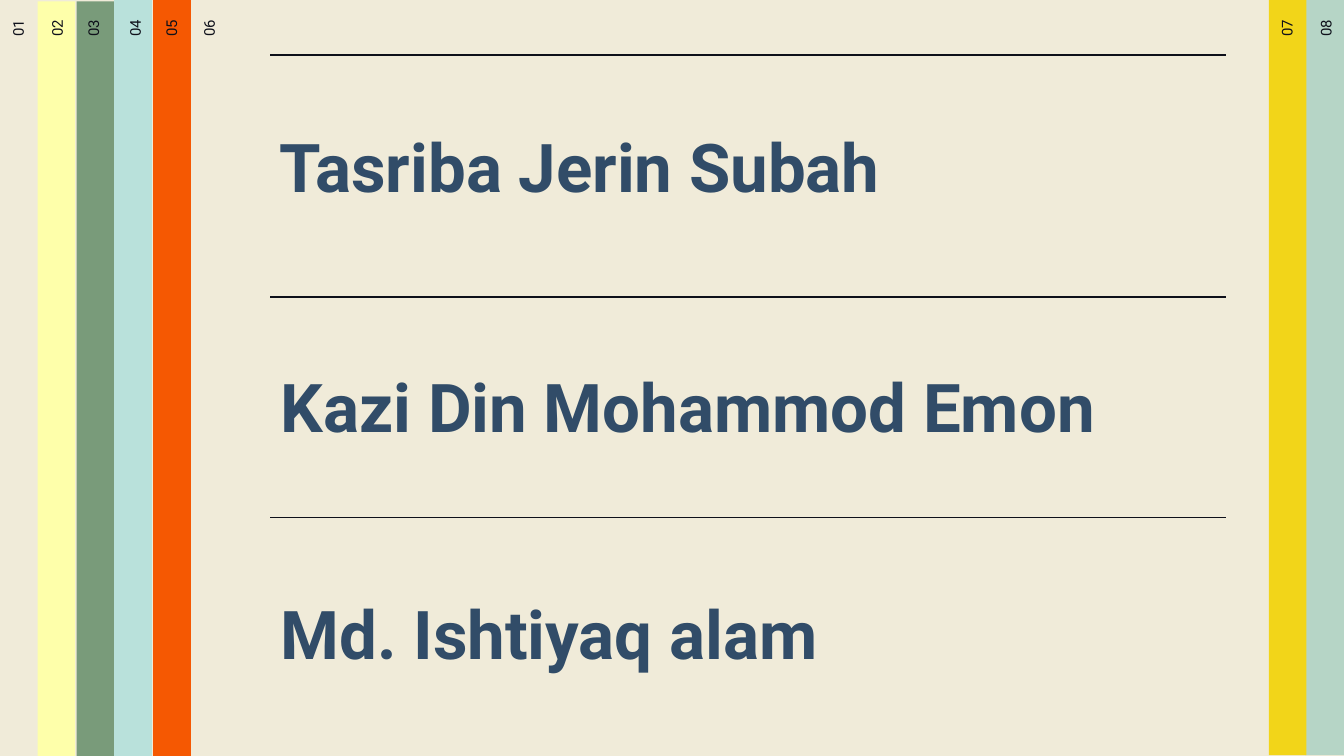
from dataclasses import dataclass

import pptx
import pptx.dml.color
import pptx.enum.shapes
import pptx.enum.text
import pptx.oxml.ns
import pptx.util
from lxml import etree
from pptx.util import Inches

FONT = "Roboto"
INK = "0E101A"
NAVY = "314C68"
CREAM = "F0EBD9"
PAGE_WIDTH = 10
PAGE_HEIGHT = PAGE_WIDTH * 9 / 16
STRIPE_HEIGHT = 5.63
LABEL_TOP = 0.05
LABEL_HEIGHT = 0.28
RULE_LEFT, RULE_RIGHT = 2.01, 9.12
RULE_HEIGHTS = (0.41, 2.21, 3.85)


@dataclass
class Stripe:
    left: float
    top: float
    width: float
    color: str


@dataclass
class TabLabel:
    text: str
    center: float
    length: float = 0.98


@dataclass
class MemberName:
    text: str
    left: float
    top: float
    width: float


STRIPES = [
    Stripe(0.57, 0.01, 0.28, "799B7A"),
    Stripe(0.28, 0.01, 0.28, "FEFFAA"),
    Stripe(0.85, 0, 0.28, "B9E1DB"),
    Stripe(1.14, 0, 0.28, "F55802"),
    Stripe(9.71, -0.01, 0.29, "B6D5C6"),
    Stripe(9.44, -0.01, 0.28, "F2D519"),
]
LABELS = [
    TabLabel("01", 0.14, 0.9),
    TabLabel("02", 0.43, 0.9),
    TabLabel("03", 0.7),
    TabLabel("04", 1.01),
    TabLabel("05", 1.28),
    TabLabel("06", 1.56),
    TabLabel("07", 9.58),
    TabLabel("08", 9.87),
]
NAMES = [
    MemberName("Tasriba Jerin Subah", 1.98, 0.83, 5.68),
    MemberName("Kazi Din Mohammod Emon", 1.99, 2.62, 7.06),
    MemberName("Md. Ishtiyaq alam", 1.99, 4.31, 6.73),
]


def rgb(color: str) -> pptx.dml.color.RGBColor:
    return pptx.dml.color.RGBColor.from_string(color)


def draw_stripe(page, stripe: Stripe) -> None:
    shape = page.shapes.add_shape(
        pptx.enum.shapes.MSO_SHAPE.RECTANGLE,
        Inches(stripe.left), Inches(stripe.top),
        Inches(stripe.width), Inches(STRIPE_HEIGHT))
    shape.shadow.inherit = False
    shape.fill.solid()
    shape.fill.fore_color.rgb = rgb(stripe.color)
    shape.line.fill.background()


def draw_text(page, text: str, left: float, top: float, width: float,
              height: float, size: float, color: str, inset: float):
    box = page.shapes.add_textbox(
        Inches(left), Inches(top), Inches(width), Inches(height))
    frame = box.text_frame
    frame.word_wrap = True
    frame.margin_left = frame.margin_right = Inches(0.1)
    frame.margin_top = frame.margin_bottom = Inches(inset)
    para = frame.paragraphs[0]
    para.text = text
    para.font.name = FONT
    para.font.size = pptx.util.Pt(size)
    para.font.color.rgb = rgb(color)
    return box


def draw_label(page, label: TabLabel) -> None:
    """Draw a number that reads upwards and ends at the common top."""
    middle = LABEL_TOP + label.length / 2
    box = draw_text(page, label.text, label.center - label.length / 2,
                    middle - LABEL_HEIGHT / 2, label.length, LABEL_HEIGHT,
                    8, INK, 0.09)
    box.rotation = 270
    box.text_frame.paragraphs[0].alignment = pptx.enum.text.PP_ALIGN.RIGHT


def draw_name(page, name: MemberName) -> None:
    box = draw_text(page, name.text, name.left, name.top, name.width, 0.81,
                    36, NAVY, 0.1)
    box.text_frame.auto_size = pptx.enum.text.MSO_AUTO_SIZE.SHAPE_TO_FIT_TEXT
    box.text_frame.paragraphs[0].font.bold = True


def draw_rule(page, height: float) -> None:
    rule = page.shapes.add_connector(
        pptx.enum.shapes.MSO_CONNECTOR.STRAIGHT,
        Inches(RULE_LEFT), Inches(height), Inches(RULE_RIGHT), Inches(height))
    rule.line.color.rgb = rgb(INK)
    rule.line.width = pptx.util.Pt(0.75)
    etree.SubElement(rule._element.spPr, pptx.oxml.ns.qn("a:effectLst"))


def main() -> None:
    deck = pptx.Presentation()
    deck.slide_width = Inches(PAGE_WIDTH)
    deck.slide_height = Inches(PAGE_HEIGHT)
    page = deck.slides.add_slide(deck.slide_layouts[6])
    page.background.fill.solid()
    page.background.fill.fore_color.rgb = rgb(CREAM)

    for stripe in STRIPES:
        draw_stripe(page, stripe)
    for label in LABELS:
        draw_label(page, label)
    for height in RULE_HEIGHTS:
        draw_rule(page, height)
    for name in NAMES:
        draw_name(page, name)
    deck.save("out.pptx")


if __name__ == "__main__":
    main()
